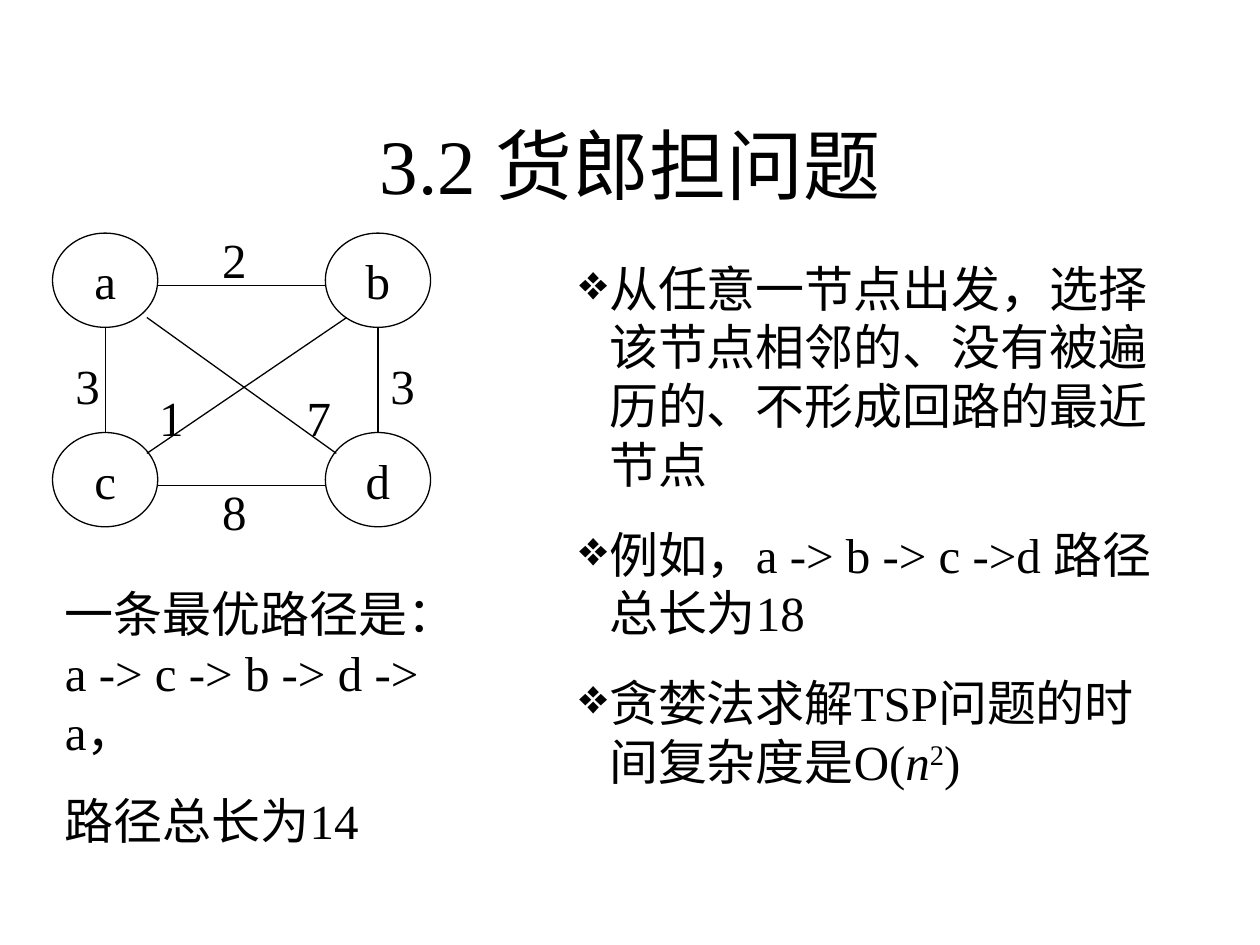
import pptx
import pptx.util
import pptx.dml.color
import pptx.enum.shapes
import pptx.enum.text
import pptx.oxml.ns
from dataclasses import dataclass
from lxml import etree

Cm, Pt = pptx.util.Cm, pptx.util.Pt
BLACK = pptx.dml.color.RGBColor(0, 0, 0)
WHITE = pptx.dml.color.RGBColor(255, 255, 255)
FONT = "Times New Roman"
MID = pptx.enum.text.MSO_ANCHOR.MIDDLE
CENTER = pptx.enum.text.PP_ALIGN.CENTER
NODE_W, NODE_H = 2.12, 1.9
LEFT, RIGHT = 1.06, 6.56
TOP, LOW = 4.7, 8.72


@dataclass
class Node:
    name: str
    x: float
    y: float


@dataclass
class Edge:
    x1: float
    y1: float
    x2: float
    y2: float
    cost: str
    tag_x: float
    tag_y: float


@dataclass
class Part:
    text: str
    slant: bool = False
    raised: bool = False


def add_run(para, part: Part, size: float = 28) -> None:
    run = para.add_run()
    run.text = part.text
    font = run.font
    font.name, font.size = FONT, Pt(size)
    font.color.rgb = BLACK
    if part.slant:
        font.italic = True
    if part.raised:
        run._r.get_or_add_rPr().set("baseline", "30000")


def add_mark(para) -> None:
    """Give the paragraph a hanging diamond bullet."""
    props = para._p.get_or_add_pPr()
    props.set("marL", str(Cm(0.6)))
    props.set("indent", str(-Cm(0.6)))
    mark = etree.SubElement(props, pptx.oxml.ns.qn("a:buChar"))
    mark.set("char", "❖")


def add_text(slide, x: float, y: float, w: float, h: float,
             paras: list[list[Part]], marked: bool = False) -> None:
    frame = slide.shapes.add_textbox(Cm(x), Cm(y), Cm(w), Cm(h)).text_frame
    frame.word_wrap = True
    for i, parts in enumerate(paras):
        para = frame.add_paragraph() if i else frame.paragraphs[0]
        para.space_before = Pt(17.5)
        if marked:
            add_mark(para)
        for part in parts:
            add_run(para, part)


def add_node(slide, node: Node) -> None:
    oval = slide.shapes.add_shape(
        pptx.enum.shapes.MSO_SHAPE.OVAL,
        Cm(node.x), Cm(node.y), Cm(NODE_W), Cm(NODE_H))
    oval.shadow.inherit = False
    oval.fill.solid()
    oval.fill.fore_color.rgb = WHITE
    oval.line.color.rgb = BLACK
    oval.line.width = Pt(0.75)
    frame = oval.text_frame
    frame.word_wrap = False
    frame.vertical_anchor = MID
    para = frame.paragraphs[0]
    para.alignment = CENTER
    add_run(para, Part(node.name))


def add_edge(slide, edge: Edge) -> None:
    line = slide.shapes.add_connector(
        pptx.enum.shapes.MSO_CONNECTOR.STRAIGHT,
        Cm(edge.x1), Cm(edge.y1), Cm(edge.x2), Cm(edge.y2))
    line.line.color.rgb = BLACK
    line.line.width = Pt(0.75)
    etree.SubElement(line._element.spPr, pptx.oxml.ns.qn("a:effectLst"))


NODES = [Node("a", LEFT, TOP), Node("b", RIGHT, TOP),
         Node("c", LEFT, LOW), Node("d", RIGHT, LOW)]

IN_L, IN_R = LEFT + NODE_W, RIGHT
MID_L, MID_R = LEFT + NODE_W / 2, RIGHT + NODE_W / 2
FOOT = TOP + NODE_H
EDGES = [
    Edge(IN_L, 5.76, IN_R, 5.76, "2", 4.23, 4.5),
    Edge(MID_L, FOOT, MID_L, LOW, "3", 1.27, 7.04),
    Edge(IN_L, 9.78, IN_R, 9.78, "8", 4.23, 9.58),
    Edge(MID_R, FOOT, MID_R, LOW, "3", 7.62, 7.04),
    Edge(2.96, 6.4, 6.78, 9.14, "7", 5.93, 7.68),
    Edge(2.96, 9.14, 6.99, 6.4, "1", 2.96, 7.68),
]

BEST = [[Part("一条最优路径是：a -> c -> b -> d -> a，")],
        [Part("路径总长为14")]]

POINTS = [
    [Part("从任意一节点出发，选择该节点相邻的、没有被遍历的、不形成回路的最近节点")],
    [Part("例如，a -> b -> c ->d 路径总长为18")],
    [Part("贪婪法求解TSP问题的时间复杂度是O("), Part("n", slant=True),
     Part("2", raised=True), Part(")")],
]


def main() -> None:
    deck = pptx.Presentation()
    deck.slide_width, deck.slide_height = Cm(25.4), Cm(19.05)
    slide = deck.slides.add_slide(deck.slide_layouts[5])

    # Title
    title = slide.shapes.title
    title.left, title.top = Cm(1.9), Cm(1.7)
    title.width, title.height = Cm(21.6), Cm(3.18)
    title.text_frame.vertical_anchor = MID
    para = title.text_frame.paragraphs[0]
    para.alignment = CENTER
    add_run(para, Part("3.2 货郎担问题"), 44)

    # Weighted graph
    for node in NODES:
        add_node(slide, node)
    for edge in EDGES:
        add_edge(slide, edge)
    for edge in EDGES:
        add_text(slide, edge.tag_x, edge.tag_y, 1.27, 1.45,
                 [[Part(edge.cost)]])

    # Best route and notes on the greedy method
    add_text(slide, 1.06, 11.64, 8.68, 5.61, BEST)
    add_text(slide, 11.43, 5.08, 12.28, 10.97, POINTS, marked=True)

    deck.save("out.pptx")


if __name__ == "__main__":
    main()
